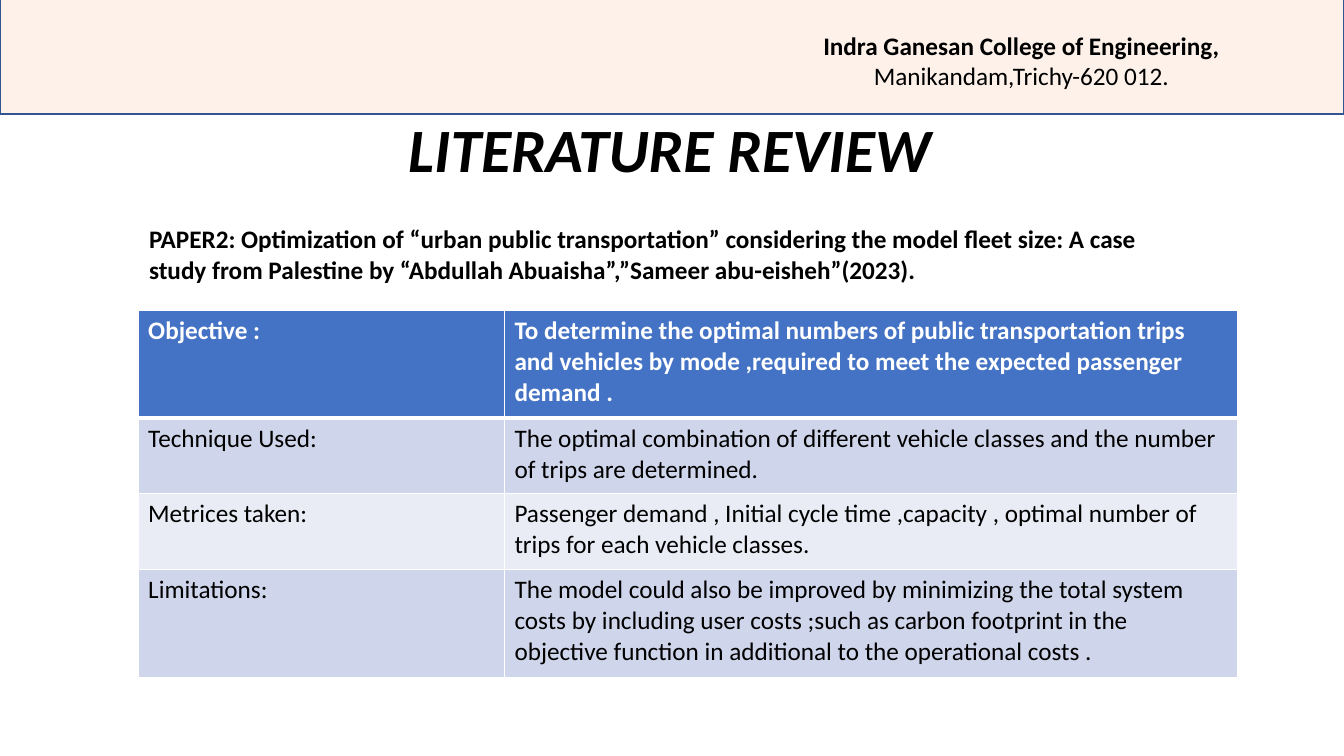
from lxml import etree
from pptx import Presentation
from pptx.dml.color import RGBColor
from pptx.enum.shapes import MSO_SHAPE
from pptx.enum.text import MSO_ANCHOR, PP_ALIGN
from pptx.oxml import parse_xml
from pptx.oxml.ns import nsdecls, qn
from pptx.util import Inches, Pt

RECT = MSO_SHAPE.RECTANGLE
LEFT, CENTER = PP_ALIGN.LEFT, PP_ALIGN.CENTER
TOP, MIDDLE = MSO_ANCHOR.TOP, MSO_ANCHOR.MIDDLE
WIDTH, HEIGHT = 13.33, 7.5

BODY = {"name": "Calibri", "size": Pt(18), "bold": False}
STRONG = {**BODY, "bold": True}
TITLE = {**STRONG, "size": Pt(44), "italic": True}

HEADER_FILL, BANDS = "4472C4", ("E9EBF5", "CFD5EA")
COLUMN_SHARES = (1 / 3, 2 / 3)
ROW_HEIGHTS = (1.07, 0.75, 0.75, 1.07)
REVIEW = (
    ("Objective :",
     "To determine the optimal numbers of public transportation trips and "
     "vehicles by mode ,required to meet the expected passenger demand ."),
    ("Technique Used:",
     "The optimal combination of different vehicle classes and the number "
     "of trips are determined."),
    ("Metrices taken:",
     "Passenger demand , Initial cycle time ,capacity , optimal number of "
     "trips for each vehicle classes."),
    ("Limitations:",
     "The model could also be improved by minimizing the total system costs "
     "by including user costs ;such as carbon footprint in the objective "
     "function in additional to the operational costs ."),
)


def rgb(color):
    return RGBColor.from_string(color)


def add_run(p, text, style, color="000000"):
    r = p.add_run()
    r.text = text
    for name, value in style.items():
        setattr(r.font, name, value)
    r.font.color.rgb = rgb(color)


def add_text(slide, box, runs, align=LEFT, anchor=TOP, spacing=1.0):
    """Place one paragraph, with a line break between its runs."""
    tf = slide.shapes.add_textbox(*map(Inches, box)).text_frame
    tf.word_wrap = True
    tf.vertical_anchor = anchor
    p = tf.paragraphs[0]
    p.alignment = align
    p.line_spacing = spacing
    for i, (text, style) in enumerate(runs):
        if i:
            p.add_line_break()
        add_run(p, text, style)


def add_banner(slide, box):
    x, y, w, h = box
    sp = slide.shapes.add_shape(RECT, *map(Inches, box))
    sp.shadow.inherit = False
    sp.fill.solid()
    sp.fill.fore_color.rgb = rgb("F8CBAD")
    tint = sp.fill._xPr.find(qn("a:solidFill"))[0]
    etree.SubElement(tint, qn("a:alpha"), val="25000")
    sp.line.color.rgb = rgb("325491")
    sp.line.width = Pt(1)
    # College name and address in the right half
    add_text(slide, (x + w * 0.51, y + h * 0.25, w / 2, h * 0.6),
             [("Indra Ganesan College of Engineering,", STRONG),
              ("Manikandam,Trichy-620 012.", BODY)], align=CENTER)


def set_borders(cell, bottom):
    tc_pr = cell._tc.get_or_add_tcPr()
    widths = {"lnL": 1, "lnR": 1, "lnT": 1, "lnB": bottom}
    for i, (tag, width) in enumerate(widths.items()):
        tc_pr.insert(i, parse_xml(
            f'<a:{tag} {nsdecls("a")} w="{Pt(width)}"><a:solidFill>'
            f'<a:srgbClr val="FFFFFF"/></a:solidFill></a:{tag}>'))


def add_review_table(slide, box):
    table = slide.shapes.add_table(len(REVIEW), len(COLUMN_SHARES),
                                   *map(Inches, box)).table
    for column, share in zip(table.columns, COLUMN_SHARES):
        column.width = Inches(box[2] * share)
    for i, (texts, height) in enumerate(zip(REVIEW, ROW_HEIGHTS)):
        table.rows[i].height = Inches(height)
        header = i == 0
        for cell, text in zip(table.rows[i].cells, texts):
            cell.fill.solid()
            cell.fill.fore_color.rgb = rgb(HEADER_FILL if header else BANDS[i % 2])
            # The rule under the header meets the top of the first band
            set_borders(cell, bottom=3 if header else 1)
            if i == 1:
                cell._tc.tcPr.find(qn("a:lnT")).set("w", str(Pt(3)))
            add_run(cell.text_frame.paragraphs[0], text,
                    STRONG if header else BODY,
                    "FFFFFF" if header else "000000")


def build_review_slide(prs):
    slide = prs.slides.add_slide(prs.slide_layouts[6])
    # Table of findings
    add_review_table(slide, (1.37, 3.08, 10.9, sum(ROW_HEIGHTS)))
    # College banner
    add_banner(slide, (0, -0.04, WIDTH, 1.17))
    # Title and paper reference
    add_text(slide, (3.95, 0.79, 9.3, 1.45), [("LITERATURE REVIEW", TITLE)],
             anchor=MIDDLE, spacing=0.9)
    add_text(slide, (1.38, 2.17, 10.57, 0.71),
             [("PAPER2: Optimization of “urban public transportation” "
               "considering the model fleet size: A case study from Palestine "
               "by “Abdullah Abuaisha”,”Sameer abu-eisheh”(2023).", STRONG)])


def main():
    prs = Presentation()
    prs.slide_width, prs.slide_height = Inches(WIDTH), Inches(HEIGHT)
    build_review_slide(prs)
    prs.save("out.pptx")


if __name__ == "__main__":
    main()
